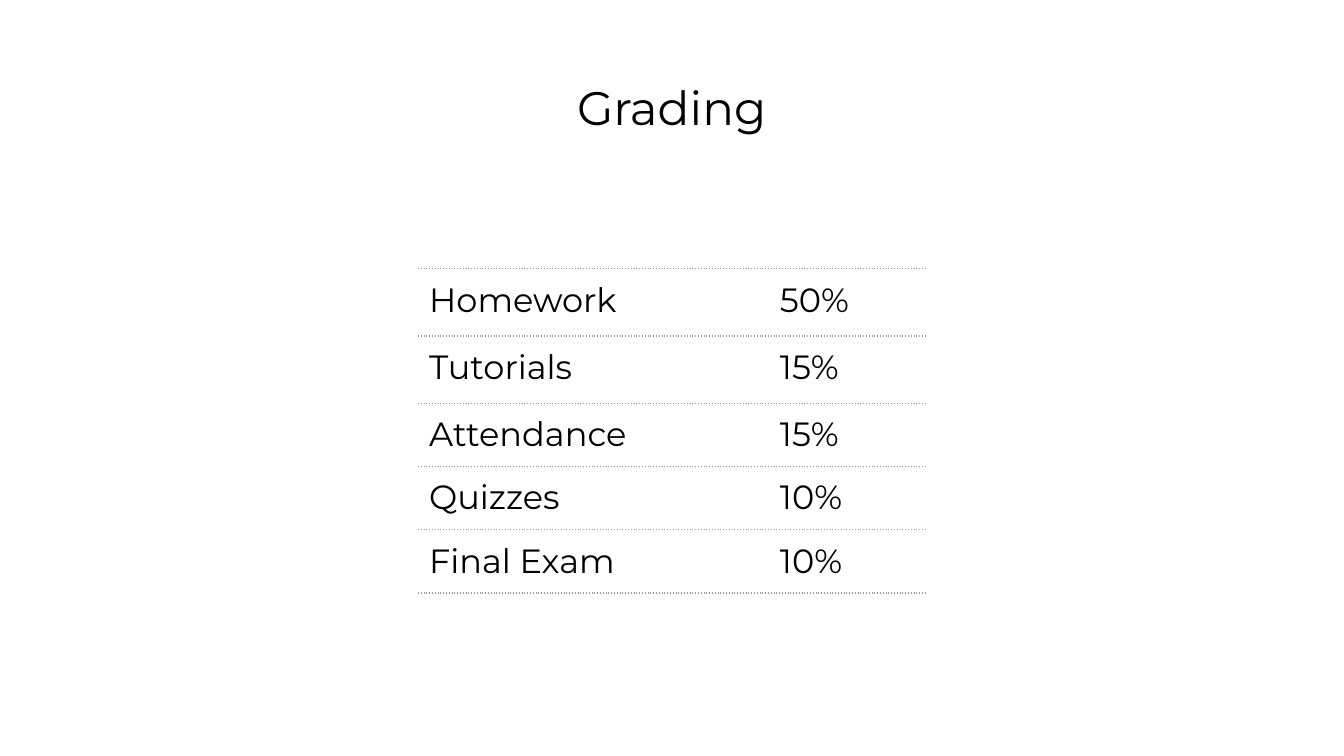
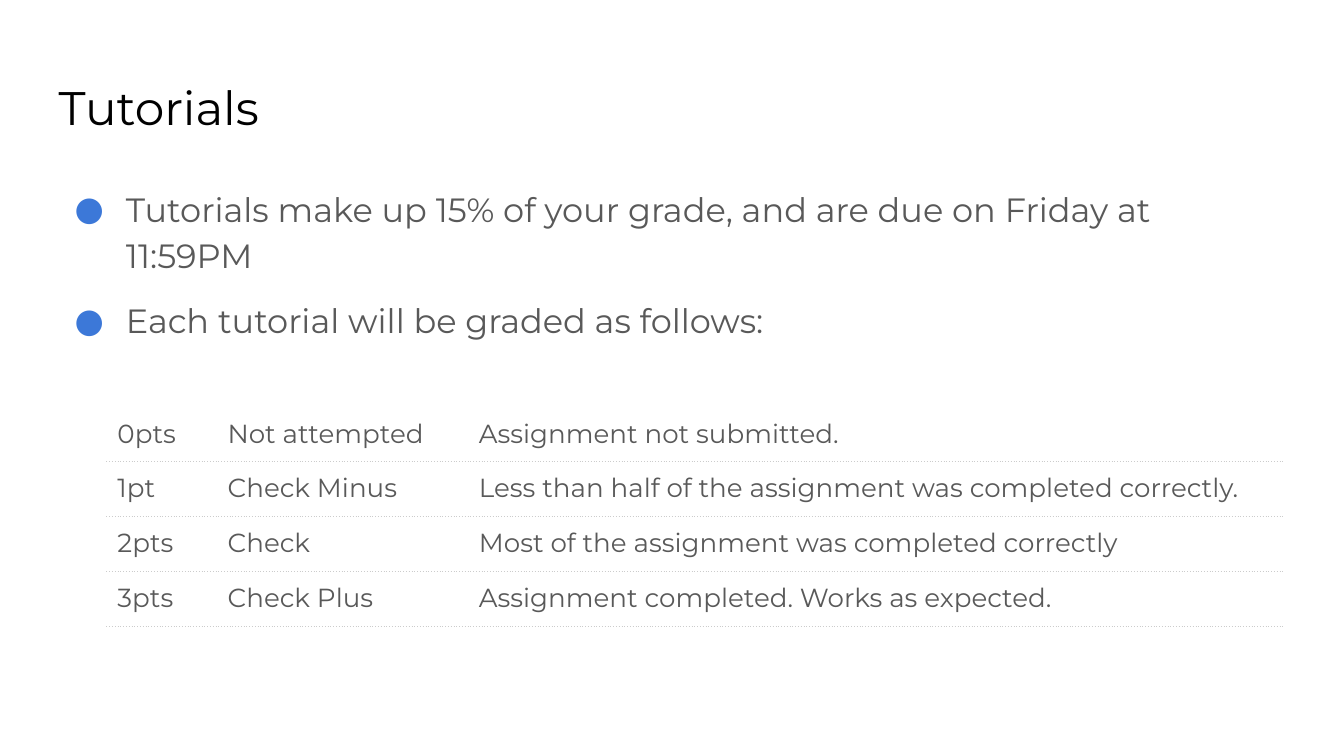
"""Build the course slides on grading and tutorials."""
from dataclasses import dataclass

from lxml import etree
from pptx import Presentation
from pptx import util as u
from pptx.dml.color import RGBColor
from pptx.enum import text
from pptx.oxml import parse_xml
from pptx.oxml.ns import nsdecls

FONT = "Montserrat"
BLACK = RGBColor(0x00, 0x00, 0x00)
WHITE = RGBColor(0xFF, 0xFF, 0xFF)
GREY = RGBColor(0x59, 0x59, 0x59)
BLUE = RGBColor(0x3C, 0x78, 0xD8)
RULE_DARK = RGBColor(0x99, 0x99, 0x99)
RULE_LIGHT = RGBColor(0xCC, 0xCC, 0xCC)

LEFT, WIDTH = u.Cm(0.86), u.Cm(23.67)
PAD = u.Cm(0.25)
CELL_PAD = u.Cm(0.21)
RULE_WIDTH = u.Pt(0.75)


@dataclass(frozen=True)
class RuledTable:
    """A table with dotted rules between its rows; lengths in centimetres."""
    left: float
    top: float
    cols: tuple[float, ...]
    heights: tuple[float, ...]
    rows: tuple[tuple[str, ...], ...]
    size: int
    color: RGBColor
    rule: RGBColor
    fill: RGBColor | None = None
    top_rule: bool = True


GRADING = RuledTable(
    7.9, 5.08, (6.63, 2.97), (1.27, 1.27, 1.02, 1.02, 1.02),
    (
        ("Homework", "50%"),
        ("Tutorials", "15%"),
        ("Attendance", "15%"),
        ("Quizzes", "10%"),
        ("Final Exam", "10%"),
    ),
    18, BLACK, RULE_DARK, fill=WHITE)

POINTS = RuledTable(
    2.01, 7.7, (2.08, 4.75, 15.44), (0.91, 1.04, 1.04, 1.04),
    (
        ("0pts", "Not attempted", "Assignment not submitted."),
        ("1pt", "Check Minus",
         "Less than half of the assignment was completed correctly."),
        ("2pts", "Check", "Most of the assignment was completed correctly"),
        ("3pts", "Check Plus", "Assignment completed. Works as expected."),
    ),
    14, GREY, RULE_LIGHT, top_rule=False)

BULLETS = (
    "Tutorials make up 15% of your grade, and are due on Friday at 11:59PM",
    "Each tutorial will be graded as follows:",
)


def write(p, words: str, *, size: float, color: RGBColor,
          align=text.PP_ALIGN.LEFT) -> None:
    """Add a formatted run to a paragraph."""
    p.alignment = align
    r = p.add_run()
    r.text = words
    r.font.name = FONT
    r.font.size = u.Pt(size)
    r.font.color.rgb = color


def set_frame(tf) -> None:
    """Give a text frame the shared margins, wrapping and top anchor."""
    tf.margin_left = tf.margin_right = PAD
    tf.margin_top = tf.margin_bottom = PAD
    tf.word_wrap = True
    tf.auto_size = text.MSO_AUTO_SIZE.NONE
    tf.vertical_anchor = text.MSO_ANCHOR.TOP


def add_titled_slide(prs, title: str, align=text.PP_ALIGN.LEFT):
    """Add a title-only slide and format its title."""
    s = prs.slides.add_slide(prs.slide_layouts[5])
    s.background.fill.solid()
    s.background.fill.fore_color.rgb = WHITE
    sp = s.shapes.title
    sp.left, sp.top, sp.width, sp.height = LEFT, u.Cm(1.24), WIDTH, u.Cm(1.6)
    set_frame(sp.text_frame)
    write(sp.text_frame.paragraphs[0], title, size=25.2, color=BLACK, align=align)
    return s


def set_bullet(p) -> None:
    """Give a paragraph a blue round bullet with a hanging indent."""
    pPr = p._p.get_or_add_pPr()
    pPr.set("marL", str(u.Cm(1.27)))
    pPr.set("indent", str(u.Cm(-0.97)))
    for xml in (f'<a:buClr {nsdecls("a")}><a:srgbClr val="{BLUE}"/></a:buClr>',
                f'<a:buFont {nsdecls("a")} typeface="{FONT}"/>',
                f'<a:buChar {nsdecls("a")} char="●"/>'):
        pPr.append(parse_xml(xml))


def add_bullets(s, lines: tuple[str, ...]) -> None:
    """Add the bulleted text under the title."""
    tf = s.shapes.add_textbox(LEFT, u.Cm(3.2), WIDTH, u.Cm(3.63)).text_frame
    set_frame(tf)
    for i, line in enumerate(lines):
        p = tf.add_paragraph() if i else tf.paragraphs[0]
        p.line_spacing = 1.15
        if i:
            p.space_before = p.space_after = u.Pt(10)
        write(p, line, size=18, color=GREY)
        set_bullet(p)


def set_borders(cell, rule: RGBColor, top: bool) -> None:
    """Rule a cell with dots below, and above if asked, with open sides."""
    tcPr = cell._tc.get_or_add_tcPr()
    for side, ruled in (("L", False), ("R", False), ("T", top), ("B", True)):
        ln = parse_xml(f'<a:ln{side} {nsdecls("a")} w="{RULE_WIDTH}"/>')
        paint = (f'<a:solidFill {nsdecls("a")}><a:srgbClr val="{rule}"/></a:solidFill>'
                 if ruled else f'<a:noFill {nsdecls("a")}/>')
        ln.append(parse_xml(paint))
        if ruled:
            etree.SubElement(ln, ln.tag.split("}")[0] + "}prstDash", val="dot")
        tcPr.append(ln)


def add_ruled_table(s, t: RuledTable) -> None:
    """Draw a ruled table on a slide."""
    table = s.shapes.add_table(
        len(t.rows), len(t.cols), u.Cm(t.left), u.Cm(t.top),
        u.Cm(sum(t.cols)), u.Cm(sum(t.heights))).table
    table.first_row = table.horz_banding = False
    for col, width in zip(table.columns, t.cols):
        col.width = u.Cm(width)
    for i, (row, height, words) in enumerate(zip(table.rows, t.heights, t.rows)):
        row.height = u.Cm(height)
        for cell, word in zip(row.cells, words):
            cell.margin_left = cell.margin_right = CELL_PAD
            cell.margin_top = cell.margin_bottom = CELL_PAD
            set_borders(cell, t.rule, top=t.top_rule or i > 0)
            if t.fill is None:
                cell.fill.background()
            else:
                cell.fill.solid()
                cell.fill.fore_color.rgb = t.fill
            write(cell.text_frame.paragraphs[0], word, size=t.size, color=t.color)


def main() -> None:
    """Build and save the slides."""
    prs = Presentation()
    prs.slide_width, prs.slide_height = u.Cm(25.4), u.Cm(14.29)
    s = add_titled_slide(prs, "Grading", text.PP_ALIGN.CENTER)
    add_ruled_table(s, GRADING)
    s = add_titled_slide(prs, "Tutorials")
    add_bullets(s, BULLETS)
    add_ruled_table(s, POINTS)
    prs.save("out.pptx")


if __name__ == "__main__":
    main()
